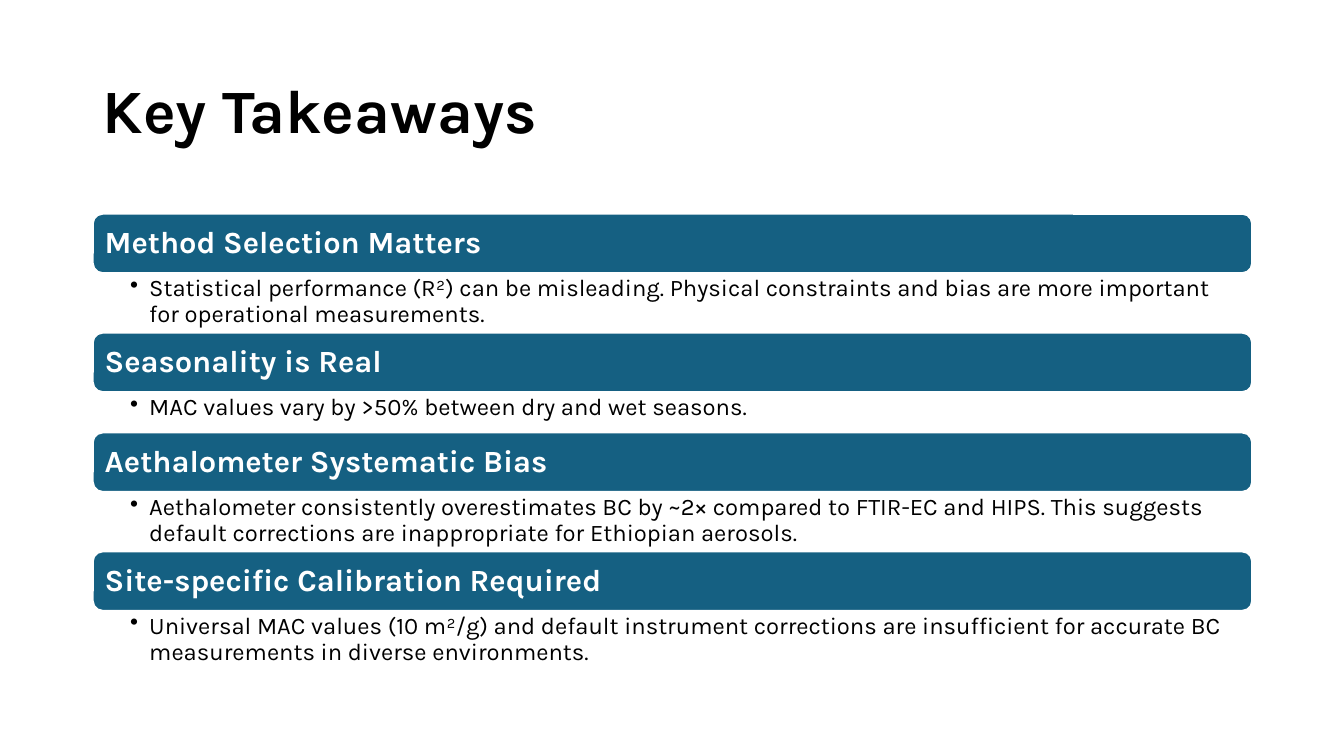
import dataclasses

import pptx
import pptx.dml.color
import pptx.enum.shapes
import pptx.enum.text
import pptx.oxml
import pptx.oxml.ns
import pptx.util

Inches = pptx.util.Inches
ANCHOR = pptx.enum.text.MSO_ANCHOR


@dataclasses.dataclass(frozen=True)
class Theme:
    font: str = "Karla"
    ink: str = "000000"
    paper: str = "FFFFFF"
    bar: str = "156082"
    title_size: int = 44
    heading_size: int = 22
    detail_size: int = 17


def rgb(value):
    return pptx.dml.color.RGBColor.from_string(value)


class TakeawaySlide:
    """Holds the theme and the current slide."""

    def __init__(self, deck, theme):
        self.theme = theme
        self.slide = deck.slides.add_slide(deck.slide_layouts[5])  # Title Only

    def set_text(self, frame, text, size, color, bold, anchor, insets):
        left, top, right, bottom = map(Inches, insets)
        frame_format = {
            "word_wrap": True,
            "auto_size": pptx.enum.text.MSO_AUTO_SIZE.NONE,
            "vertical_anchor": anchor,
            "margin_left": left,
            "margin_top": top,
            "margin_right": right,
            "margin_bottom": bottom,
        }
        for name, value in frame_format.items():
            setattr(frame, name, value)
        paragraph = frame.paragraphs[0]
        paragraph.alignment = pptx.enum.text.PP_ALIGN.LEFT
        paragraph.line_spacing = 0.9
        run = paragraph.add_run()
        run.text = text
        font_format = {"name": self.theme.font, "size": pptx.util.Pt(size), "bold": bold}
        for name, value in font_format.items():
            setattr(run.font, name, value)
        run.font.color.rgb = rgb(color)
        return paragraph

    def title(self, text, box):
        title = self.slide.shapes.title
        for name, value in zip(("left", "top", "width", "height"), box):
            setattr(title, name, Inches(value))
        self.set_text(title.text_frame, text, self.theme.title_size, self.theme.ink,
                      True, ANCHOR.MIDDLE, (0.1, 0.05, 0.1, 0.05))

    def heading(self, text, box):
        bar = self.slide.shapes.add_shape(
            pptx.enum.shapes.MSO_SHAPE.ROUNDED_RECTANGLE, *map(Inches, box))
        bar.shadow.inherit = False
        bar.fill.solid()
        bar.fill.fore_color.rgb = rgb(self.theme.bar)
        bar.line.color.rgb = rgb(self.theme.paper)
        bar.line.width = pptx.util.Pt(1.5)
        self.set_text(bar.text_frame, text, self.theme.heading_size, self.theme.paper,
                      True, ANCHOR.MIDDLE, (0.09, 0.09, 0.09, 0.09))

    def detail(self, text, box):
        detail = self.slide.shapes.add_textbox(*map(Inches, box))
        paragraph = self.set_text(detail.text_frame, text, self.theme.detail_size,
                                  self.theme.ink, False, ANCHOR.TOP, (0.37, 0.03, 0.17, 0.03))
        # Hanging bullet
        properties = paragraph._p.get_or_add_pPr()
        properties.set("marL", str(Inches(0.19)))
        properties.set("indent", str(Inches(-0.19)))
        namespace = pptx.oxml.ns.nsdecls("a")
        properties.append(pptx.oxml.parse_xml(f'<a:buChar {namespace} char="•"/>'))


# Heading, detail, height of the detail
TAKEAWAYS = [
    ("Method Selection Matters",
     "Statistical performance (R²) can be misleading. Physical constraints and bias "
     "are more important for operational measurements.", 0.59),
    ("Seasonality is Real",
     "MAC values vary by >50% between dry and wet seasons.", 0.4),
    ("Aethalometer Systematic Bias",
     "Aethalometer consistently overestimates BC by ~2× compared to FTIR-EC and HIPS. "
     "This suggests default corrections are inappropriate for Ethiopian aerosols.", 0.59),
    ("Site-specific Calibration Required",
     "Universal MAC values (10 m²/g) and default instrument corrections are insufficient "
     "for accurate BC measurements in diverse environments.", 0.59),
]
LEFT, WIDTH = 0.92, 11.5
FIRST_TOP, BAR_HEIGHT = 2.12, 0.59


def main():
    deck = pptx.Presentation()
    deck.slide_width, deck.slide_height = Inches(13.33), Inches(7.5)
    page = TakeawaySlide(deck, Theme())

    # Title
    page.title("Key Takeaways", (LEFT, 0.4, WIDTH, 1.45))

    # Headings and details, stacked without gaps
    top = FIRST_TOP
    for heading, detail, detail_height in TAKEAWAYS:
        page.heading(heading, (LEFT, top, WIDTH, BAR_HEIGHT))
        top += BAR_HEIGHT
        page.detail(detail, (LEFT, top, WIDTH, detail_height))
        top += detail_height

    deck.save("out.pptx")


if __name__ == "__main__":
    main()
